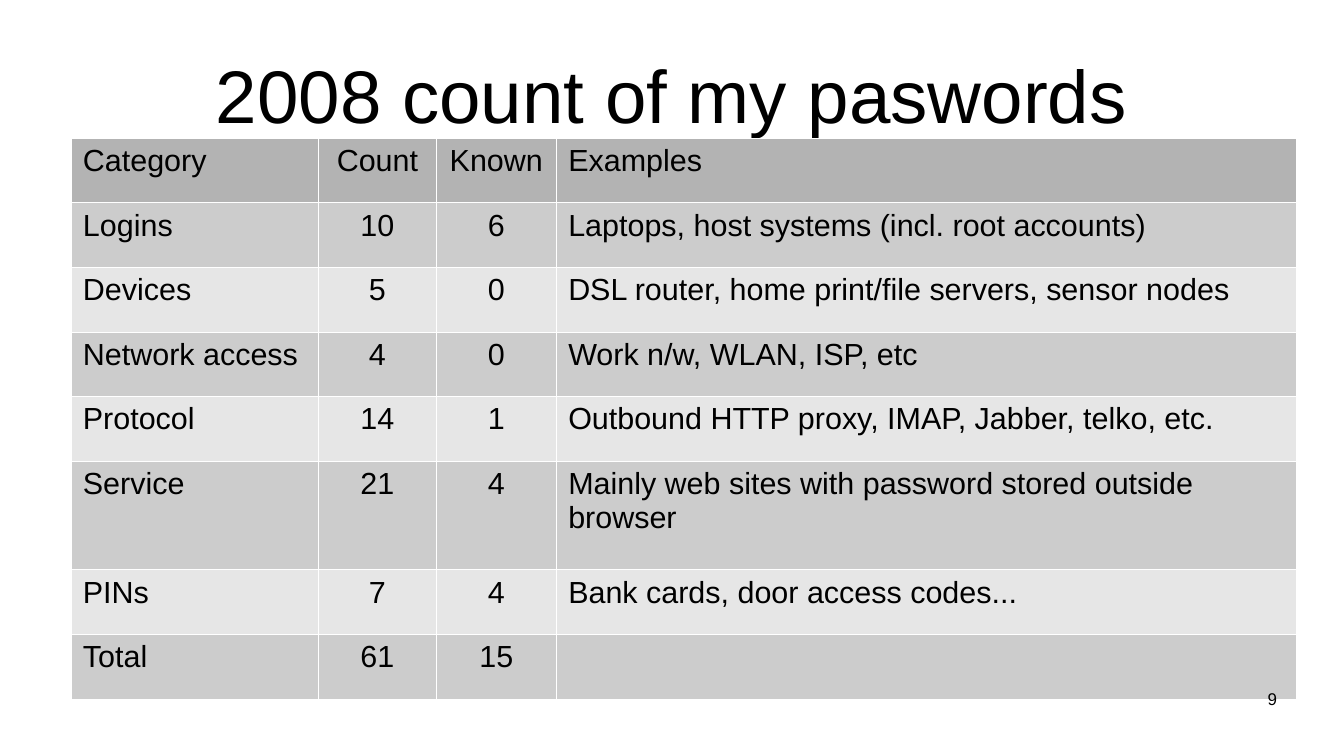
from lxml import etree
from pptx import Presentation
from pptx.dml.color import RGBColor
from pptx.enum import text
from pptx.oxml import ns
from pptx.util import Inches, Pt

TITLE = "2008 count of my paswords"
PAGE_NUMBER = "9"
ROWS = [
    ("Category", "Count", "Known", "Examples"),
    ("Logins", "10", "6", "Laptops, host systems (incl. root accounts)"),
    ("Devices", "5", "0", "DSL router, home print/file servers, sensor nodes"),
    ("Network access", "4", "0", "Work n/w, WLAN, ISP, etc"),
    ("Protocol", "14", "1", "Outbound HTTP proxy, IMAP, Jabber, telko, etc."),
    ("Service", "21", "4", "Mainly web sites with password stored outside browser"),
    ("PINs", "7", "4", "Bank cards, door access codes..."),
    ("Total", "61", "15", ""),
]
COLUMN_WIDTHS = [2.03, 0.97, 0.98, 6.07]
ROW_HEIGHT = 0.53
TALL_ROW_HEIGHT = 0.89
TALL_ROW = 5
NUMBER_COLUMNS = (1, 2)
NUMBER_MARGIN = 0.08

FONT = "Arial"
BLACK = RGBColor(0x00, 0x00, 0x00)
WHITE = RGBColor(0xFF, 0xFF, 0xFF)
HEADER_GRAY = RGBColor(0xB3, 0xB3, 0xB3)
BAND_GRAYS = [RGBColor(0xE6, 0xE6, 0xE6), RGBColor(0xCC, 0xCC, 0xCC)]


def format_paragraph(paragraph, size, alignment):
    paragraph.alignment = alignment
    paragraph.font.name = FONT
    paragraph.font.size = Pt(size)
    paragraph.font.color.rgb = BLACK


def fill_frame(frame, words, size, alignment, anchor):
    frame.margin_left = frame.margin_right = 0
    frame.margin_top = frame.margin_bottom = 0
    frame.word_wrap = True
    frame.auto_size = text.MSO_AUTO_SIZE.NONE
    frame.vertical_anchor = anchor
    frame.text = words
    format_paragraph(frame.paragraphs[0], size, alignment)


def add_borders(cell):
    properties = cell._tc.get_or_add_tcPr()
    for side in ("lnL", "lnR", "lnT", "lnB"):
        line = etree.SubElement(properties, ns.qn(f"a:{side}"), w=str(Pt(0.06)))
        fill = etree.SubElement(line, ns.qn("a:solidFill"))
        etree.SubElement(fill, ns.qn("a:srgbClr"), val=str(WHITE))


def add_password_table(slide):
    heights = [TALL_ROW_HEIGHT if i == TALL_ROW else ROW_HEIGHT for i in range(len(ROWS))]
    table = slide.shapes.add_table(
        len(ROWS), len(COLUMN_WIDTHS), Inches(0.58), Inches(1.13),
        Inches(sum(COLUMN_WIDTHS)), Inches(sum(heights))).table
    table.first_row = table.horz_banding = False
    for column, width in zip(table.columns, COLUMN_WIDTHS):
        column.width = Inches(width)
    for i, (row, height) in enumerate(zip(table.rows, heights)):
        row.height = Inches(height)
        for j, cell in enumerate(row.cells):
            cell.text = ROWS[i][j]
            alignment = text.PP_ALIGN.LEFT
            if j in NUMBER_COLUMNS:
                alignment = text.PP_ALIGN.CENTER
                cell.margin_left = cell.margin_right = Inches(NUMBER_MARGIN)
            format_paragraph(cell.text_frame.paragraphs[0], 18, alignment)
            add_borders(cell)
            cell.fill.solid()
            cell.fill.fore_color.rgb = BAND_GRAYS[i % 2] if i else HEADER_GRAY


def main():
    presentation = Presentation()
    presentation.slide_width = Inches(11.02)
    presentation.slide_height = Inches(6.2)
    slide = presentation.slides.add_slide(presentation.slide_layouts[5])

    title = slide.shapes.title
    title.left, title.top = Inches(0.55), Inches(0.25)
    title.width, title.height = Inches(9.92), Inches(1.04)
    fill_frame(title.text_frame, TITLE, 44, text.PP_ALIGN.CENTER, text.MSO_ANCHOR.MIDDLE)

    add_password_table(slide)

    number = slide.shapes.add_textbox(Inches(7.9), Inches(5.65), Inches(2.57), Inches(0.43))
    fill_frame(number.text_frame, PAGE_NUMBER, 10, text.PP_ALIGN.RIGHT, text.MSO_ANCHOR.TOP)

    presentation.save("out.pptx")


if __name__ == "__main__":
    main()
